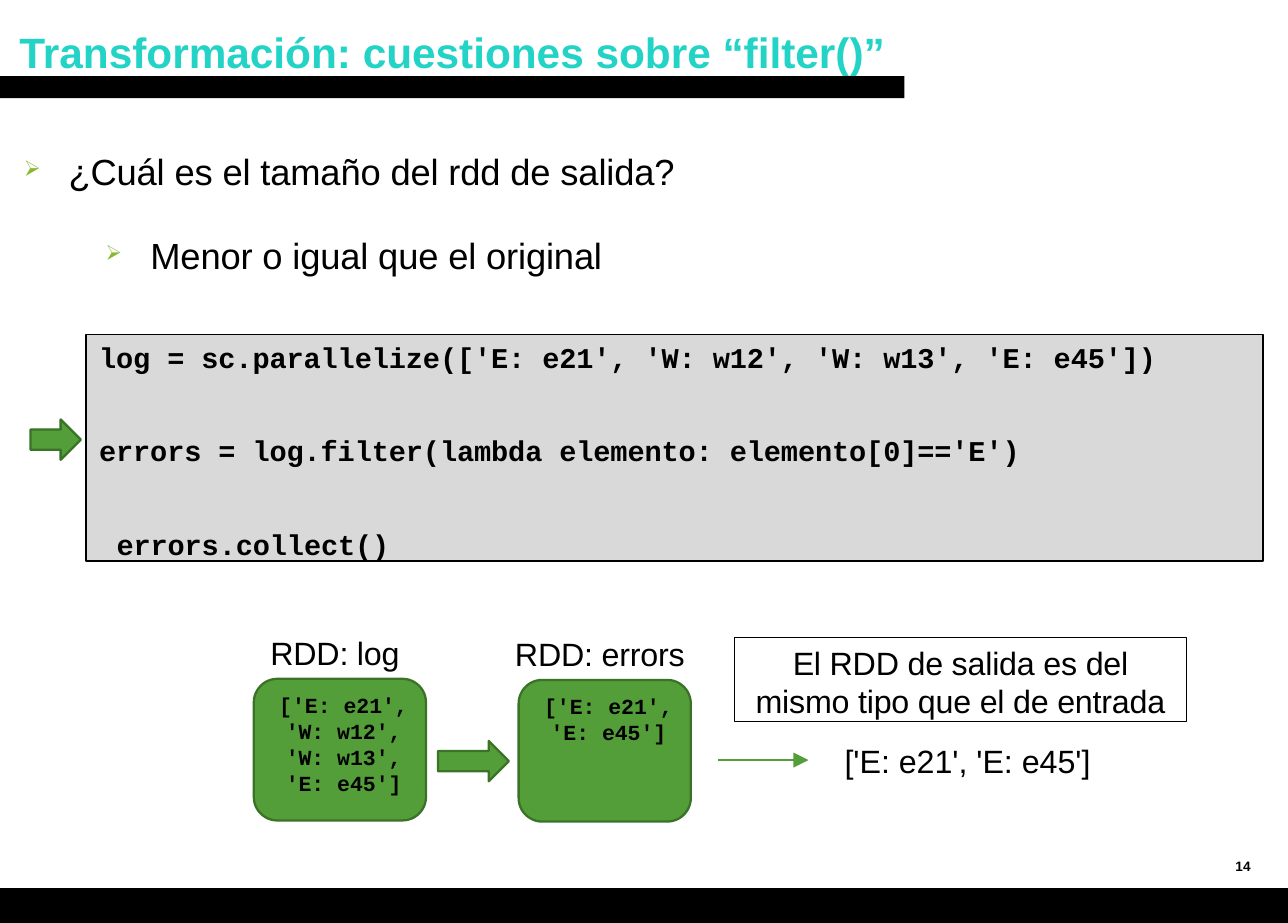
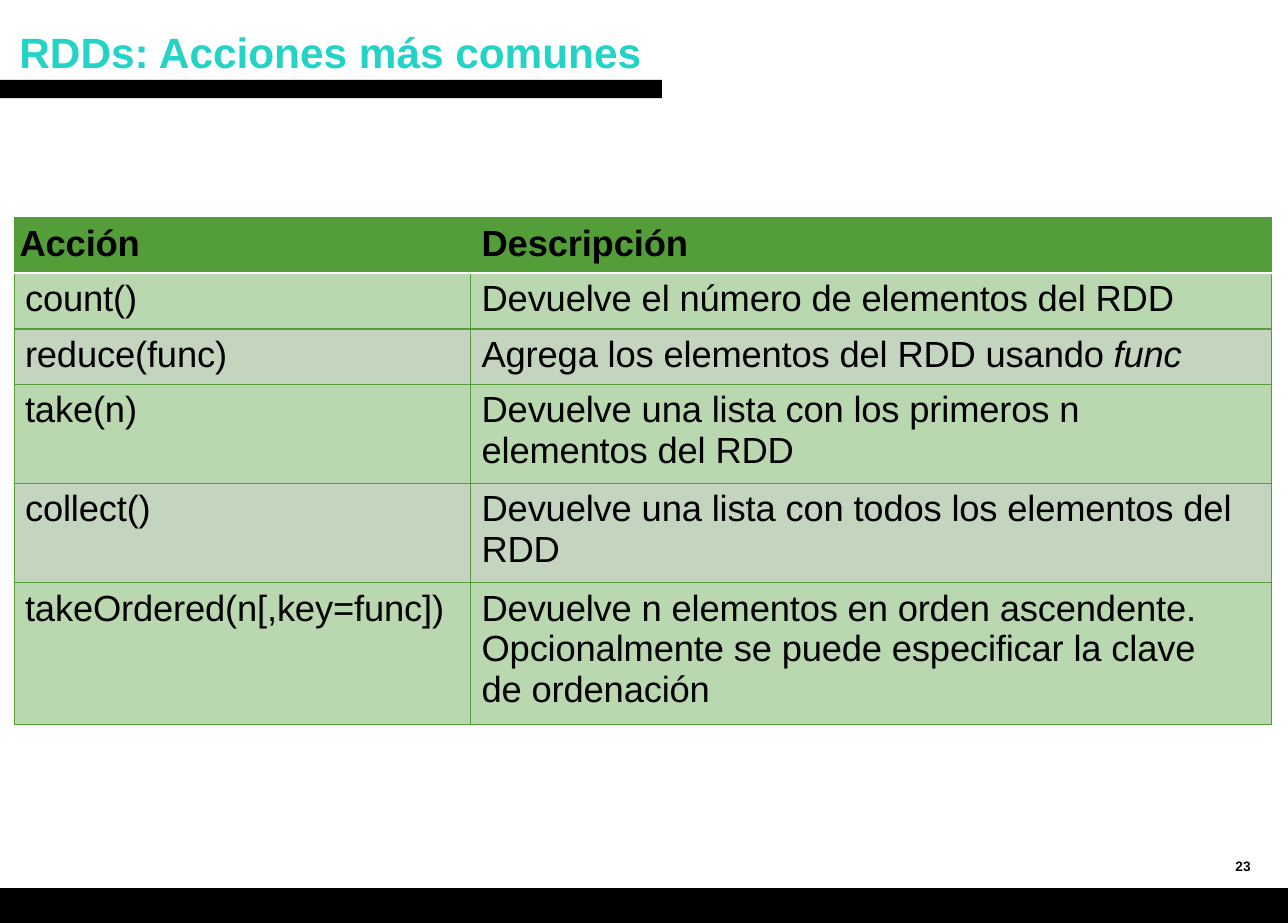
import pptx
import pptx.util
import pptx.dml.color
import pptx.enum.shapes
import pptx.enum.text
import pptx.oxml.ns
import lxml.etree

WIDE, HIGH = 11.82, 8.47
INK = {"black": "000000", "title": "22D3C6", "leaf": "539E39", "edge": "3A7327",
       "mark": "89B833", "code": "D9D9D9", "odd": "BAD8AF", "even": "C3D5BE",
       "white": "FFFFFF"}
SANS, MONO = "Arial", "Courier New"
FORM = pptx.enum.shapes.MSO_SHAPE
ALIGN = pptx.enum.text.PP_ALIGN
ANCHOR = pptx.enum.text.MSO_ANCHOR
Inches, Pt = pptx.util.Inches, pptx.util.Pt
qn = pptx.oxml.ns.qn


# Lengths: percent shares of the slide's width and height
def across(share):
    return Inches(WIDE * share / 100)


def down(share):
    return Inches(HIGH * share / 100)


def place(left, top, wide, high):
    return across(left), down(top), across(wide), down(high)


def tint(name):
    return pptx.dml.color.RGBColor.from_string(INK[name])


def node(up, tag, **attrs):
    return lxml.etree.SubElement(up, qn(tag), attrs)


# Text
def pad(frame, left=0, top=0, right=0):
    frame.margin_left, frame.margin_top = Inches(left), Inches(top)
    frame.margin_right, frame.margin_bottom = Inches(right), 0


def style(para, size, font=SANS, bold=False, ink="black", kern=0):
    face = para.font
    face.size, face.name, face.bold = Pt(size), font, bold
    face.color.rgb = tint(ink)
    base = para._p.get_or_add_pPr().find(qn("a:defRPr"))
    if kern:
        base.set("spc", str(kern))
    return base


def write(frame, lines, size, align=ALIGN.LEFT, **look):
    frame.word_wrap = True
    frame.vertical_anchor = ANCHOR.TOP
    for i, line in enumerate(lines):
        para = frame.paragraphs[0] if i == 0 else frame.add_paragraph()
        para.text = line
        para.alignment = align
        style(para, size, **look)
    return frame.paragraphs


def label(slide, area, text, size, **look):
    frame = slide.shapes.add_textbox(*place(*area)).text_frame
    pad(frame)
    write(frame, [text], size, **look)
    return frame


def bullet(slide, left, top, text, inset, scale):
    frame = label(slide, (left, top, 80, 4.8), text, 24, kern=-10)
    props = frame.paragraphs[0]._p.get_or_add_pPr()
    props.set("marL", str(Inches(inset)))
    props.set("indent", str(Inches(-0.41)))
    base = props.find(qn("a:defRPr"))
    hue = node(props, "a:buClr")
    node(hue, "a:srgbClr", val=INK["mark"])
    parts = [hue, node(props, "a:buSzPct", val=str(scale * 1000)),
             node(props, "a:buChar", char="➢")]
    for part in parts:
        base.addprevious(part)


# Shapes
def shape(slide, form, area, fill=None, line=None, width=1):
    item = slide.shapes.add_shape(form, *place(*area))
    item.shadow.inherit = False
    if fill:
        item.fill.solid()
        item.fill.fore_color.rgb = tint(fill)
    else:
        item.fill.background()
    if line:
        item.line.color.rgb = tint(line)
        item.line.width = Pt(width)
    else:
        item.line.fill.background()
    return item


def green(slide, form, area):
    return shape(slide, form, area, "leaf", "edge", 1.5)


def arrow(slide, left, right, level):
    link = slide.shapes.add_connector(
        pptx.enum.shapes.MSO_CONNECTOR.STRAIGHT,
        across(left), down(level), across(right), down(level))
    link.line.color.rgb = tint("leaf")
    link.line.width = Pt(1.25)
    node(link.line._get_or_add_ln(), "a:tailEnd", type="triangle", w="lg", len="lg")
    node(link._element.spPr, "a:effectLst")


def store(slide, left, top, name, rows):
    """A data set: rounded box with its name above."""
    label(slide, (left - 0.38, top - 4.96, 13.37, 4.3), name, 21.3,
          align=ALIGN.CENTER, kern=-10)
    frame = green(slide, FORM.ROUNDED_RECTANGLE, (left, top, 13.37, 15.35)).text_frame
    pad(frame, 0.17, 0.06)
    for para in write(frame, rows, 14.2, font=MONO, bold=True)[1:]:
        para._p.get_or_add_pPr().set("marL", str(Inches(0.06)))


# Table
def border(cell, sides):
    props = cell._tc.get_or_add_tcPr()
    for side in "LRTB":
        ink, width = sides.get(side, ("leaf", 1))
        line = node(props, "a:ln" + side, w=str(Pt(width)))
        node(node(line, "a:solidFill"), "a:srgbClr", val=INK[ink])


def table(slide, left, top, cols, rows, data):
    grid = slide.shapes.add_table(
        len(rows), len(cols), *place(left, top, sum(cols), sum(rows))).table
    grid.first_row = grid.horz_banding = False
    for col, share in zip(grid.columns, cols):
        col.width = across(share)
    for r, share in enumerate(rows):
        grid.rows[r].height = down(share)
        for c, parts in enumerate(data[r]):
            cell = grid.cell(r, c)
            border(cell, {0: {"B": ("white", 1.5)}, 1: {"T": ("white", 1.5)}}.get(r, {}))
            cell.fill.solid()
            cell.fill.fore_color.rgb = tint("leaf" if r == 0 else ("even", "odd")[r % 2])
            pad(cell, 0.05 if r == c == 0 else 0.1, 0.05, 0.25 if c else 0)
            cell.vertical_anchor = ANCHOR.TOP
            para = cell.text_frame.paragraphs[0]
            style(para, 24, bold=r == 0, kern=-10)
            # Every second part is in italics
            for i, part in enumerate(parts.split("*")):
                run = para.add_run()
                run.text = part
                if i % 2:
                    run.font.italic = True


# Shared frame: title, underline bar, page number, bottom band
def page(deck, title, number, bar, top):
    slide = deck.slides.add_slide(deck.slide_layouts[6])
    shape(slide, FORM.RECTANGLE, (0, 96.22, 100, 3.78), "black")
    head = label(slide, (0.68, 2.24, 81, 7), title, 28, bold=True, ink="title")
    pad(head, 0.1, 0.05)
    foot = label(slide, (95.09, 91.5, 3.9, 4.72), str(number), 9, bold=True)
    pad(foot, 0.1)
    foot.vertical_anchor = ANCHOR.MIDDLE
    shape(slide, FORM.RECTANGLE, (0, top, bar, 10.65 - top), "black")
    return slide


def filters(deck):
    slide = page(deck, "Transformación: cuestiones sobre “filter()”", 14, 70.22, 8.26)
    bullet(slide, 1.69, 16.17, "¿Cuál es el tamaño del rdd de salida?", 0.43, 60)
    bullet(slide, 5.08, 25.27, "Menor o igual que el original", 0.78, 58)

    # Code
    code = shape(slide, FORM.RECTANGLE, (6.68, 36.25, 91.37, 24.56), "code", "black")
    pad(code.text_frame, 0.12, 0.05)
    lines = write(code.text_frame, [
        "log = sc.parallelize(['E: e21', 'W: w12', 'W: w13', 'E: e45'])",
        "errors = log.filter(lambda elemento: elemento[0]=='E')",
        "errors.collect()"], 18.9, font=MONO, bold=True, kern=-10)
    for para in lines[1:]:
        para.space_before = Pt(39)
    lines[2]._p.get_or_add_pPr().set("marL", str(Inches(0.16)))
    green(slide, FORM.RIGHT_ARROW, (2.37, 45.45, 3.9, 4.37))

    # Data flow
    store(slide, 19.71, 73.55, "RDD: log",
          ["['E: e21',", "'W: w12',", "'W: w13',", "'E: e45']"])
    green(slide, FORM.RIGHT_ARROW, (34.01, 80.28, 5.5, 4.37))
    store(slide, 40.27, 73.67, "RDD: errors", ["['E: e21',", "'E: e45']"])
    arrow(slide, 55.75, 62.77, 82.35)
    label(slide, (65.57, 80.28, 21, 4.3), "['E: e21', 'E: e45']", 21.3)

    # Remark
    note = shape(slide, FORM.RECTANGLE, (57.02, 69.07, 35.11, 9.09), None, "black", 0.78)
    pad(note.text_frame, 0.1, 0.05, 0.1)
    write(note.text_frame, ["El RDD de salida es del mismo tipo que el de entrada"],
          21.3, align=ALIGN.CENTER, kern=-10)


def actions(deck):
    slide = page(deck, "RDDs: Acciones más comunes", 23, 51.4, 8.67)
    table(slide, 1.1, 23.61, [35.45, 62.18], [6.02] * 3 + [10.74] * 2 + [15.35], [
        ("Acción", "Descripción"),
        ("count()", "Devuelve el número de elementos del RDD"),
        ("reduce(func)", "Agrega los elementos del RDD usando *func"),
        ("take(n)", "Devuelve una lista con los primeros n elementos del RDD"),
        ("collect()", "Devuelve una lista con todos los elementos del RDD"),
        ("takeOrdered(n[,key=func])",
         "Devuelve n elementos en orden ascendente. Opcionalmente se puede "
         "especificar la clave de ordenación")])


def main():
    deck = pptx.Presentation()
    deck.slide_width, deck.slide_height = Inches(WIDE), Inches(HIGH)
    filters(deck)
    actions(deck)
    deck.save("out.pptx")


if __name__ == "__main__":
    main()
